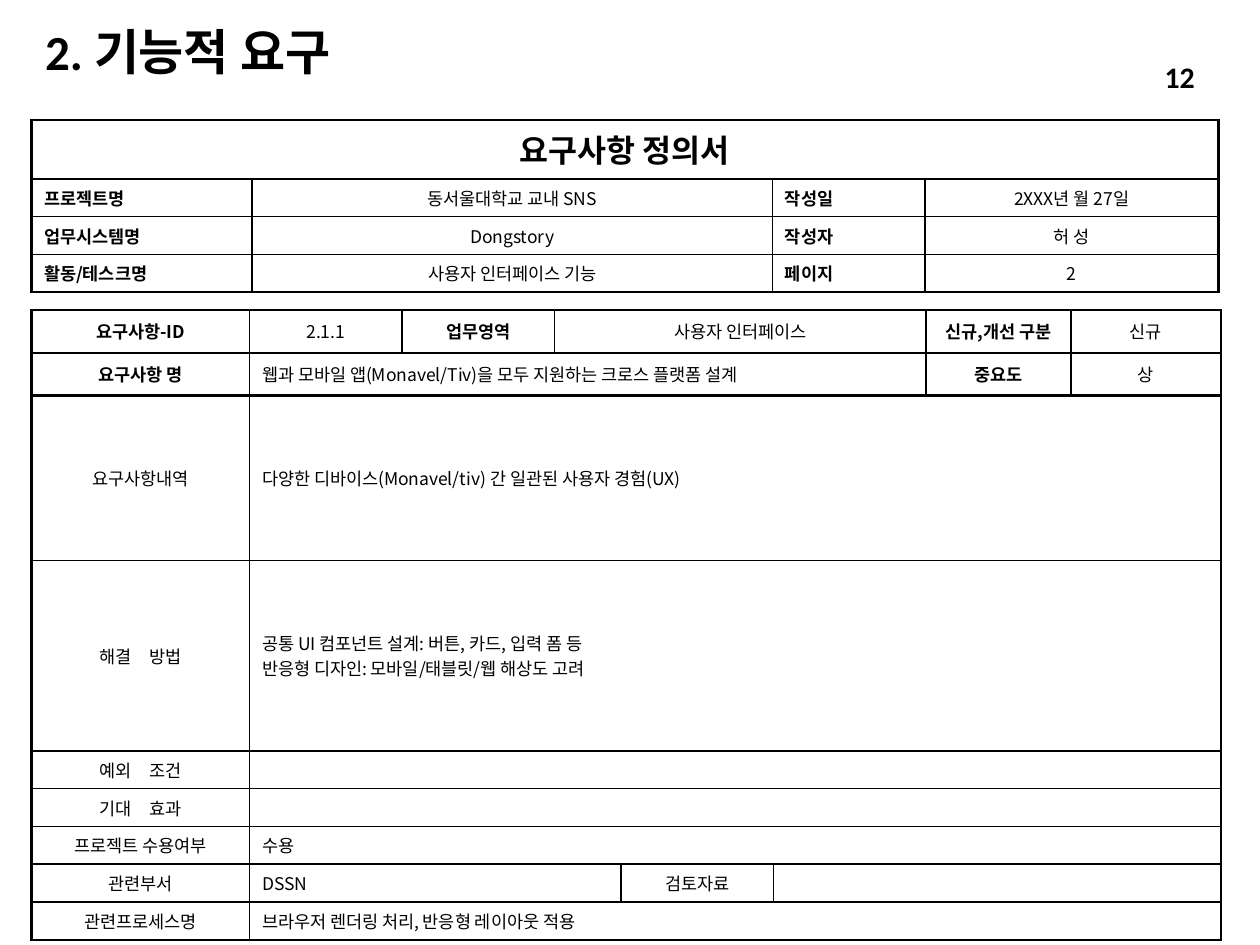
from pptx import Presentation
from pptx.dml.color import RGBColor
from pptx.enum.text import MSO_ANCHOR, PP_ALIGN
from pptx.oxml import parse_xml
from pptx.oxml.ns import nsdecls, qn
from pptx.util import Inches, Pt

BLACK = RGBColor(0, 0, 0)
TABLE_FONT = "Noto Sans CJK KR"
TITLE_FONT = "Calibri"
THICK = 1.5
THIN = 1

LABEL = {"bold": True}
LEFT = {"align": PP_ALIGN.LEFT}
HEADER_LABEL = {"bold": True, "align": PP_ALIGN.JUSTIFY}


def write_text(frame, text, size=10, font=TABLE_FONT, bold=False,
               align=PP_ALIGN.CENTER, line_spacing=None):
    for index, line in enumerate(text.split("\n")):
        paragraph = frame.add_paragraph() if index else frame.paragraphs[0]
        paragraph.alignment = align
        paragraph.line_spacing = line_spacing
        if not line:
            paragraph._p.get_or_add_endParaRPr().set("sz", str(size * 100))
            continue
        run = paragraph.add_run()
        run.text = line
        run.font.size = Pt(size)
        run.font.name = font
        run.font.bold = bold
        run.font.color.rgb = BLACK
        east_asian = parse_xml(f'<a:ea {nsdecls("a")} typeface="{TABLE_FONT}"/>')
        run.font._element.find(qn("a:latin")).addnext(east_asian)


def add_text_box(slide, left, top, width, height, text, **text_format):
    shape = slide.shapes.add_textbox(Inches(left), Inches(top), Inches(width), Inches(height))
    shape.text_frame.word_wrap = True
    shape.text_frame.vertical_anchor = MSO_ANCHOR.MIDDLE
    write_text(shape.text_frame, text, **text_format)


def set_borders(cell, widths):
    properties = cell._tc.get_or_add_tcPr()
    for position, (side, width) in enumerate(widths.items()):
        border = parse_xml(
            f'<a:ln{side} {nsdecls("a")} w="{Pt(width)}"><a:solidFill>'
            f'<a:srgbClr val="{BLACK}"/></a:solidFill></a:ln{side}>')
        properties.insert(position, border)


def add_form(slide, left, top, columns, heights, rows, heavy_rules, anchor):
    graphic_frame = slide.shapes.add_table(
        len(heights), len(columns), Inches(left), Inches(top),
        Inches(sum(columns)), Inches(sum(heights)))
    table = graphic_frame.table
    table.first_row = False
    table.horz_banding = False
    for column, width in zip(table.columns, columns):
        column.width = Inches(width)
    for row, height in zip(table.rows, heights):
        row.height = Inches(height)

    for row_index, entries in enumerate(rows):
        start = 0
        top_width, bottom_width = (
            THICK if rule in heavy_rules else THIN for rule in (row_index, row_index + 1))
        for text, span, text_format in entries:
            end = start + span
            origin = table.cell(row_index, start)
            if span > 1:
                origin.merge(table.cell(row_index, end - 1))
            origin.vertical_anchor = anchor
            write_text(origin.text_frame, text, **text_format)
            right_width = THICK if end == len(columns) else THIN
            for column_index in range(start, end):
                cell = table.cell(row_index, column_index)
                cell.fill.background()
                widths = {}
                if column_index == start:
                    widths["L"] = THIN if start else THICK
                if column_index in (start, end - 1):
                    widths["R"] = right_width
                widths.update(T=top_width, B=bottom_width)
                set_borders(cell, widths)
            start = end


def add_document_header(slide, left, top):
    details = [
        ("프로젝트명", "동서울대학교 교내 SNS", "작성일", "2XXX년 월 27일"),
        ("업무시스템명", "Dongstory", "작성자", "허 성"),
        ("활동/테스크명", "사용자 인터페이스 기능", "페이지", "2"),
    ]
    rows = [[("요구사항 정의서", 4, {"size": 18, "bold": True})]]
    for detail in details:
        rows.append([(text, 1, {} if index % 2 else HEADER_LABEL)
                     for index, text in enumerate(detail)])
    add_form(slide, left, top, [1.75, 4.13, 1.21, 2.33], [0.47] + [0.3] * 3,
             rows, {0, 4}, MSO_ANCHOR.TOP)


def add_requirement(slide, left, top):
    descriptions = [
        ("요구사항내역", "다양한 디바이스(Monavel/tiv) 간 일관된 사용자 경험(UX)"),
        ("해결　방법", "공통 UI 컴포넌트 설계: 버튼, 카드, 입력 폼 등\n"
                    "반응형 디자인: 모바일/태블릿/웹 해상도 고려"),
        ("예외　조건", ""),
        ("기대　효과", ""),
        ("프로젝트 수용여부", "수용"),
    ]
    rows = [
        [("요구사항-ID", 1, LABEL), ("2.1.1", 1, {}), ("업무영역", 1, LABEL),
         ("사용자 인터페이스", 3, {}), ("신규,개선 구분", 1, LABEL), ("신규", 1, {})],
        [("요구사항 명", 1, LABEL),
         ("웹과 모바일 앱(Monavel/Tiv)을 모두 지원하는 크로스 플랫폼 설계", 5, LEFT),
         ("중요도", 1, LABEL), ("상", 1, {})],
        *[[(name, 1, {}), (text, 7, LEFT)] for name, text in descriptions],
        [("관련부서", 1, {}), ("DSSN", 3, LEFT), ("검토자료", 1, {}), ("", 3, LEFT)],
        [("관련프로세스명", 1, {}), ("브라우저 렌더링 처리, 반응형 레이아웃 적용", 7, LEFT)],
    ]
    add_form(slide, left, top, [1.73, 1.21, 1.21, 0.53, 1.21, 1.21, 1.15, 1.19],
             [0.34, 0.34, 1.31, 1.51] + [0.3] * 5, rows, {0, 1, 2, 9}, MSO_ANCHOR.MIDDLE)


def main():
    presentation = Presentation()
    presentation.slide_width = Inches(10)
    presentation.slide_height = Inches(7.5)
    slide = presentation.slides.add_slide(presentation.slide_layouts[6])
    add_text_box(slide, 0.26, 0.21, 5.36, 0.44, "2. 기능적 요구", size=28, font=TITLE_FONT,
                 bold=True, align=PP_ALIGN.LEFT, line_spacing=0.9)
    add_requirement(slide, 0.25, 2.46)
    add_document_header(slide, 0.25, 0.95)
    add_text_box(slide, 7.96, 0.41, 1.62, 0.4, "12", size=17, font=TITLE_FONT,
                 bold=True, align=PP_ALIGN.RIGHT)
    presentation.save("out.pptx")


if __name__ == "__main__":
    main()
